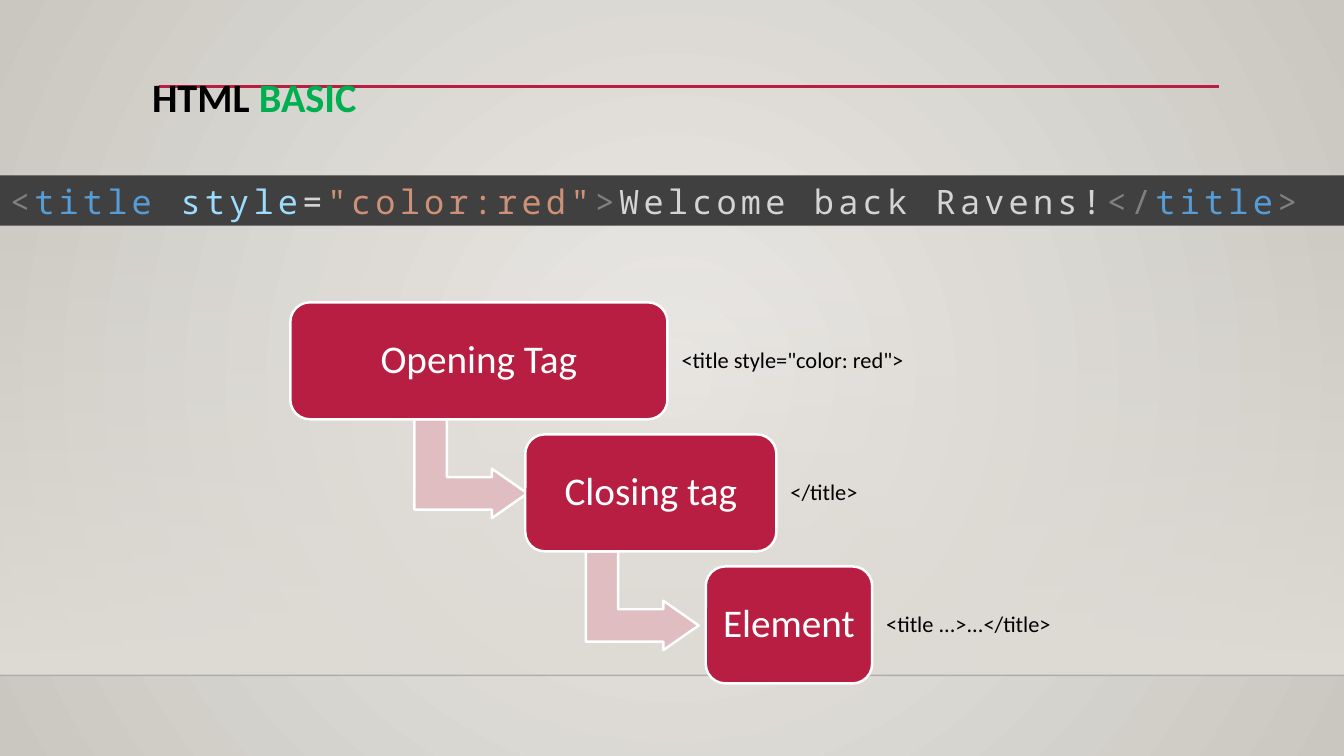
from dataclasses import dataclass

from lxml import etree
from pptx import Presentation
from pptx.dml.color import RGBColor
from pptx.enum.shapes import MSO_CONNECTOR, MSO_SHAPE
from pptx.enum.text import MSO_ANCHOR, PP_ALIGN
from pptx.oxml.ns import qn
from pptx.util import Inches, Pt


@dataclass(frozen=True)
class Theme:
    font: str = "Calibri"
    code_font: str = "Noto Sans Mono"
    title_size: float = 28.8
    code_size: float = 24
    step_size: float = 28
    label_size: float = 16
    black: str = "000000"
    white: str = "FFFFFF"
    green: str = "00B050"
    crimson: str = "B71E42"
    arrow: str = "DFBDC0"
    glow: str = "ECEAE7"
    edge: str = "CAC7C1"
    floor: str = "DFDBD5"
    strip: str = "404040"
    bracket: str = "808080"
    tag: str = "569CD6"
    attribute: str = "9CDCFE"
    plain: str = "D4D4D4"
    value: str = "CE9178"


THEME = Theme()

CODE = [("<", THEME.bracket), ("title ", THEME.tag), ("style", THEME.attribute),
        ("=", THEME.plain), ('"color:red"', THEME.value), (">", THEME.bracket),
        ("Welcome back Ravens!", THEME.plain), ("</", THEME.bracket),
        ("title", THEME.tag), (">", THEME.bracket)]

# Step name, left, width, label, label width, arrow offset (None on the last step)
STEPS = [("Opening Tag", 0, 3.74, '<title style="color: red">', 3.1, 1.3),
         ("Closing tag", 2.33, 2.49, "</title>", 1.2, 0.67),
         ("Element", 4.12, 1.65, "<title ...>...</title>", 2.13, None)]


def rgb(color):
    return RGBColor.from_string(color)


def set_alpha(parent, percent):
    color = next(parent.iter(qn("a:srgbClr")))
    etree.SubElement(color, qn("a:alpha")).set("val", str(percent * 1000))


def set_gradient(fill, start, end):
    fill.gradient()
    for stop, color in zip(fill.gradient_stops, (start, end)):
        stop.color.rgb = rgb(color)


def write_text(shape, runs, font=THEME.font, size=16, bold=False, spacing=0,
               align=PP_ALIGN.LEFT, inset=(0.1, 0.05), line_spacing=0.9):
    """Fill a shape with one paragraph of (text, colour) runs."""
    frame = shape.text_frame
    frame.word_wrap = True
    frame.vertical_anchor = MSO_ANCHOR.MIDDLE
    frame.margin_left = frame.margin_right = Inches(inset[0])
    frame.margin_top = frame.margin_bottom = Inches(inset[1])
    paragraph = frame.paragraphs[0]
    paragraph.alignment = align
    paragraph.line_spacing = line_spacing
    for text, color in runs:
        run = paragraph.add_run()
        run.text = text
        run.font.name = font
        run.font.size = Pt(size)
        run.font.bold = bold
        run.font.color.rgb = rgb(color)
        if spacing:
            run.font._element.set("spc", str(spacing * 100))


def add_box(slide, kind, left, top, width, height, fill=None, line=None):
    shape = slide.shapes.add_shape(kind, Inches(left), Inches(top),
                                   Inches(width), Inches(height))
    shape.shadow.inherit = False
    if fill:
        shape.fill.solid()
        shape.fill.fore_color.rgb = rgb(fill)
    if line:
        shape.line.color.rgb = rgb(line)
        shape.line.width = Pt(1.75)
    else:
        shape.line.fill.background()
    return shape


def add_text(slide, left, top, width, height, runs, **text_format):
    box = slide.shapes.add_textbox(Inches(left), Inches(top),
                                   Inches(width), Inches(height))
    write_text(box, runs, **text_format)


def add_rule(slide, left, top, width, color, weight):
    rule = slide.shapes.add_connector(MSO_CONNECTOR.STRAIGHT, Inches(left), Inches(top),
                                      Inches(left + width), Inches(top))
    rule.line.color.rgb = rgb(color)
    rule.line.width = Pt(weight)
    etree.SubElement(rule._element.spPr, qn("a:effectLst"))
    return rule


def draw_backdrop(slide, width, floor_top, floor_height):
    # Radial background
    fill = slide.background.fill
    set_gradient(fill, THEME.glow, THEME.edge)
    gradient = next(slide._element.iter(qn("a:gradFill")))
    gradient.remove(gradient.find(qn("a:lin")))
    path = etree.SubElement(gradient, qn("a:path"))
    path.set("path", "circle")
    center = etree.SubElement(path, qn("a:fillToRect"))
    for side in "ltrb":
        center.set(side, "50000")

    # Floor that fades in towards its lower edge
    floor = add_box(slide, MSO_SHAPE.RECTANGLE, 0, floor_top, width, floor_height)
    set_gradient(floor.fill, THEME.floor, THEME.floor)
    floor.fill.gradient_angle = 270
    set_alpha(floor._element.spPr, 0)
    edge = add_rule(slide, 0, floor_top + floor_height, width, THEME.black, 1)
    set_alpha(edge._element.spPr, 20)


def draw_title(slide, left, top, width, height):
    add_rule(slide, left + 0.17, top + 0.14, width + 0.01, THEME.crimson, 2.5)
    add_text(slide, left, top + 0.02, width, height,
             [("HTML ", THEME.black), ("BASIC", THEME.green)],
             size=THEME.title_size, bold=True)


def draw_steps(slide, left, top, step_height, pitch):
    for index, (name, offset, width, label, label_width, arrow) in enumerate(STEPS):
        x, y = left + offset, top + index * pitch
        # Bent arrow to the next step
        if arrow is not None:
            bend = add_box(slide, MSO_SHAPE.BENT_UP_ARROW, x + arrow, y + 1.09,
                           0.98, 1.12, THEME.arrow, THEME.white)
            bend.rotation = 90
            for number, value in enumerate((0.328, 0.25, 0.358)):
                bend.adjustments[number] = value
        # Step box
        step = add_box(slide, MSO_SHAPE.ROUNDED_RECTANGLE, x, y, width, step_height,
                       THEME.crimson, THEME.white)
        step.adjustments[0] = 0.167
        write_text(step, [(name, THEME.white)], size=THEME.step_size,
                   align=PP_ALIGN.CENTER, inset=(0.05, 0.05))
        # Code label beside it
        add_text(slide, x + width + 0.07, y + 0.11, label_width, 0.94,
                 [(label, THEME.black)], size=THEME.label_size, inset=(0.07, 0.07))


def draw_code_strip(slide, left, top, width, height):
    strip = add_box(slide, MSO_SHAPE.RECTANGLE, left, top, width, height, THEME.strip)
    write_text(strip, CODE, font=THEME.code_font, size=THEME.code_size,
               spacing=3, line_spacing=1.0)


def main():
    presentation = Presentation()
    presentation.slide_width = Inches(13.33)
    presentation.slide_height = Inches(7.5)
    slide = presentation.slides.add_slide(presentation.slide_layouts[6])
    draw_backdrop(slide, 13.33, 2.21, 4.49)
    draw_title(slide, 1.41, 0.72, 10.5, 0.5)
    draw_steps(slide, 2.88, 3, 1.16, 1.31)
    draw_code_strip(slide, 0, 1.74, 13.42, 0.5)
    presentation.save("out.pptx")


if __name__ == "__main__":
    main()
